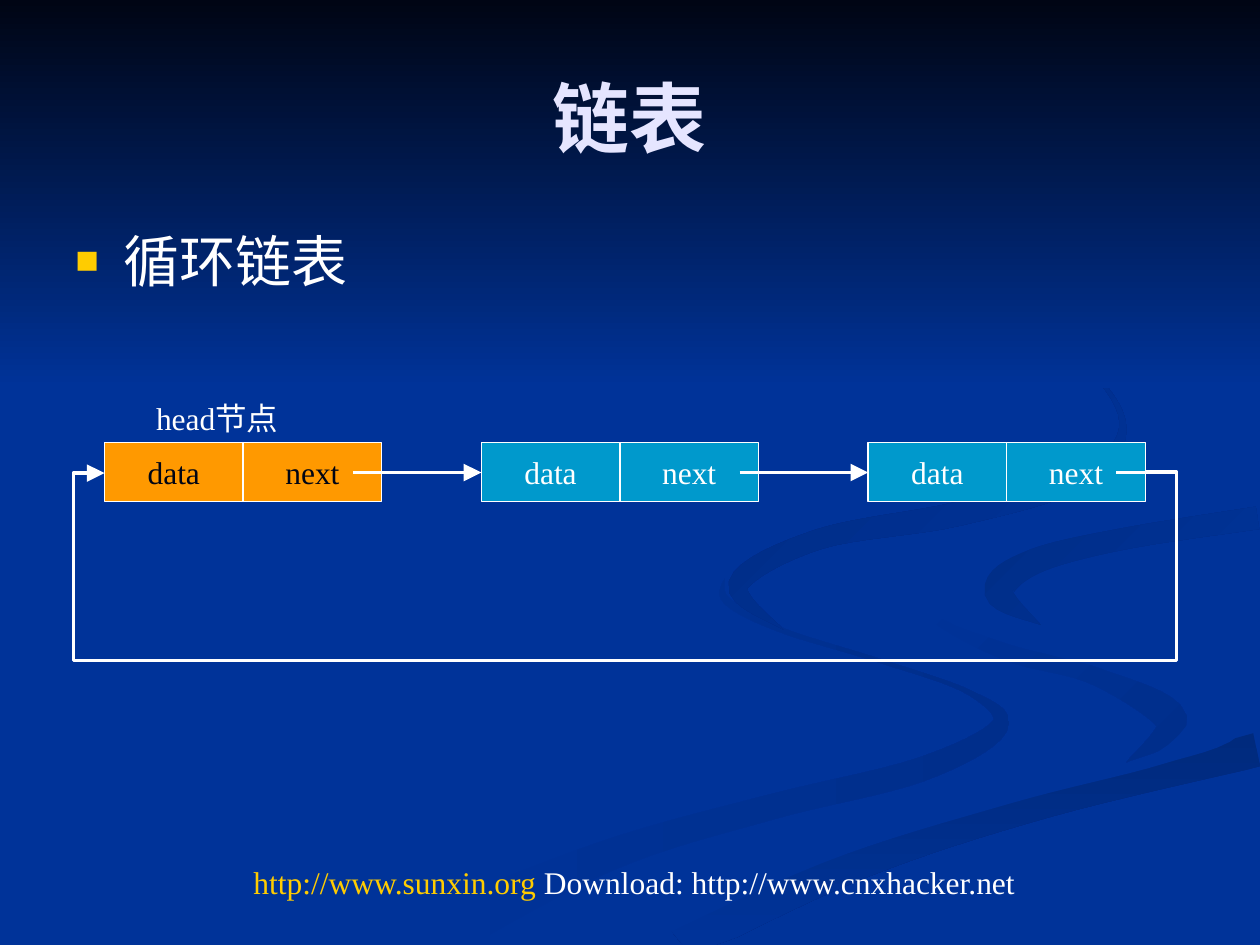
import math

import pptx
import pptx.dml.color
import pptx.enum.shapes
import pptx.enum.text
import pptx.oxml
import pptx.oxml.ns
import pptx.util
from pptx.util import Inches

WIDTH, HEIGHT = 10, 7.5
FONT = "Times New Roman"
BLUE, NIGHT, WHITE, YELLOW = "003399", "000514", "FFFFFF", "FFCC00"
ORANGE, CYAN, LAVENDER = "FF9900", "0099CC", "E5E5FF"

CELL_WIDTH, CELL_HEIGHT, CELL_TOP = 1.1, 0.47, 3.51
LINK_Y = 3.75
LINK_START = 0.13
NODES = [(0.83, ORANGE, NIGHT), (3.82, CYAN, WHITE), (6.89, CYAN, WHITE)]


def rgb(value):
    return pptx.dml.color.RGBColor.from_string(value)


def child(parent, tag, **attributes):
    node = parent.makeelement(pptx.oxml.ns.qn(tag), attributes)
    parent.append(node)
    return node


def write(paragraph, text, size=18, color=WHITE, bold=False, align="LEFT"):
    paragraph.alignment = getattr(pptx.enum.text.PP_ALIGN, align)
    run = paragraph.add_run()
    run.text = text
    run.font.name = FONT
    run.font.size = pptx.util.Pt(size)
    run.font.bold = bold
    run.font.color.rgb = rgb(color)


def spline(before, start, end, after, t):
    return tuple(
        b + t * (c - a + t * (2 * a - 5 * b + 4 * c - d + t * (3 * b - a - 3 * c + d))) / 2
        for a, b, c, d in zip(before, start, end, after))


def smooth(knots, steps=8):
    padded = [knots[0], *knots, knots[-1]]
    curve = [spline(*padded[i:i + 4], step / steps)
             for i in range(len(knots) - 1) for step in range(steps)]
    return curve + [knots[-1]]


def ribbon_edges(knots):
    curve = smooth(knots)
    left, right = [], []
    for i, (x, y, thickness) in enumerate(curve):
        back, ahead = curve[max(i - 1, 0)], curve[min(i + 1, len(curve) - 1)]
        angle = math.atan2(ahead[1] - back[1], ahead[0] - back[0])
        half = max(thickness, 0) / 2
        for edge, side in ((left, half), (right, -half)):
            edge.append((min(x - side * math.sin(angle), WIDTH),
                         min(y + side * math.cos(angle), HEIGHT)))
    return left + right[::-1]


class Deck:
    def __init__(self):
        self.show = pptx.Presentation()
        self.show.slide_width, self.show.slide_height = Inches(WIDTH), Inches(HEIGHT)
        self.slide = self.show.slides.add_slide(self.show.slide_layouts[6])
        self.shapes = self.slide.shapes
        background = self.slide.background.fill
        background.solid()
        background.fore_color.rgb = rgb(BLUE)

    def shade(self, area, start, end, angle):
        area.shadow.inherit = False
        area.line.fill.background()
        area.fill.gradient()
        area.fill.gradient_angle = -angle % 360
        for stop, color in zip(area.fill.gradient_stops, (start, end)):
            stop.color.rgb = rgb(color)

    def ribbon(self, knots, start=BLUE, end=BLUE, angle=0):
        corners = [(Inches(x), Inches(y)) for x, y in ribbon_edges(knots)]
        builder = self.shapes.build_freeform(*corners[0])
        builder.add_line_segments(corners[1:], close=True)
        self.shade(builder.convert_to_shape(), start, end, angle)

    def rectangle(self, left, top, width, height):
        return self.shapes.add_shape(pptx.enum.shapes.MSO_SHAPE.RECTANGLE,
                                     *map(Inches, (left, top, width, height)))

    def sky(self, height):
        self.shade(self.rectangle(0, 0, WIDTH, height), NIGHT, BLUE, 90)

    def text(self, left, top, width, height, parts, anchor="TOP", **style):
        frame = self.shapes.add_textbox(*map(Inches, (left, top, width, height))).text_frame
        frame.word_wrap = True
        frame.vertical_anchor = getattr(pptx.enum.text.MSO_ANCHOR, anchor)
        paragraph = frame.paragraphs[0]
        for words, color in parts:
            write(paragraph, words, color=color, **style)
        return paragraph

    def bullet(self, left, top, width, height, words, size):
        paragraph = self.text(left, top, width, height, [(words, WHITE)], size=size)
        properties = paragraph._p.get_or_add_pPr()
        properties.set("marL", str(Inches(0.38)))
        properties.set("indent", str(-Inches(0.38)))
        child(child(properties, "a:buClr"), "a:srgbClr", val=YELLOW)
        child(properties, "a:buSzPct", val="70000")
        child(properties, "a:buFont", typeface=FONT)
        child(properties, "a:buChar", char="■")

    def cell(self, left, words, fill, color):
        box = self.rectangle(left, CELL_TOP, CELL_WIDTH, CELL_HEIGHT)
        box.shadow.inherit = False
        box.fill.solid()
        box.fill.fore_color.rgb = rgb(fill)
        box.line.color.rgb = rgb(WHITE)
        box.line.width = pptx.util.Pt(0.75)
        box.text_frame.word_wrap = False
        box.text_frame.vertical_anchor = pptx.enum.text.MSO_ANCHOR.MIDDLE
        write(box.text_frame.paragraphs[0], words, color=color, align="CENTER")
        return box

    def node(self, left, fill, color):
        return [self.cell(left + column * CELL_WIDTH, field, fill, color)
                for column, field in enumerate(("data", "next"))]

    def link(self, start, end, arrow=True, kind="STRAIGHT"):
        line = self.shapes.add_connector(getattr(pptx.enum.shapes.MSO_CONNECTOR, kind),
                                         *map(Inches, (start, LINK_Y, end, LINK_Y)))
        line.line.color.rgb = rgb(WHITE)
        line.line.width = pptx.util.Pt(2)
        if arrow:
            child(line.line._get_or_add_ln(), "a:tailEnd", type="triangle", w="lg", len="lg")
        child(line._element.spPr, "a:effectLst")
        return line

    def loop(self, last, first, start, end, drop, overhang):
        line = self.link(start, end, kind="ELBOW")
        line.begin_connect(last, 3)
        line.end_connect(first, 1)
        line.height = Inches(0.01)
        geometry = line._element.spPr.find(pptx.oxml.ns.qn("a:prstGeom"))
        geometry.set("prst", "bentConnector5")
        guides = geometry.get_or_add_avLst()
        side = Inches(overhang) / line.width
        ratios = (-side, Inches(drop) / line.height, 1 + side)
        for number, ratio in enumerate(ratios, 1):
            child(guides, "a:gd", name=f"adj{number}", fmla=f"val {round(ratio * 100000)}")


def draw_backdrop(deck):
    lower_swirl = [(5.75, 4.59, 0), (5.77, 4.77, 0.06), (6.2, 5, 0.04), (7, 5.25, 0.03),
                   (7.7, 5.5, 0.04), (7.93, 5.77, 0.14), (7.3, 6.11, 0.19),
                   (6.1, 6.41, 0.2), (4.8, 6.8, 0.25), (3.3, 7.49, 0.45)]
    right_swirl = [(7.24, 4.64, 0), (7.4, 4.9, 0.05), (8, 5.18, 0.13),
                   (8.7, 5.37, 0.14), (9.3, 5.72, 0.25), (8.94, 6.05, 0)]
    corner_band = [(9.98, 5.95, 0.27), (8.3, 6.39, 0.2), (6.8, 6.87, 0.23), (5.35, 7.49, 0.35)]
    blue_ribbon = [(9.99, 3.95, 0.15), (8.6, 4.18, 0.14), (7.55, 4.6, 0.5), (8.3, 5.08, 0.2),
                   (9.1, 5.3, 0.2), (9.7, 5.6, 0.5), (9.2, 6.02, 0.1), (8, 6.33, 0.1),
                   (6.5, 6.79, 0.13), (4.9, 7.49, 0.2)]
    right_hook = [(9.98, 4.11, 0.18), (8.9, 4.28, 0.17), (8.2, 4.46, 0.2),
                  (7.93, 4.7, 0.23), (8.26, 4.96, 0)]
    upper_swirl = [(7.62, 2.33, 0), (8.5, 2.81, 0.02), (8.91, 3.35, 0.05), (8.6, 3.79, 0.15),
                   (7.6, 4.08, 0.19), (6.5, 4.28, 0.16), (5.86, 4.64, 0.16), (6.22, 5, 0)]
    deck.ribbon(lower_swirl, end="002E8B")
    deck.ribbon(right_swirl, end="002E8B", angle=45)
    deck.ribbon(corner_band, start="002A7D", angle=90)
    deck.ribbon(blue_ribbon)
    deck.ribbon(right_hook, start="002D86", angle=45)
    deck.ribbon(upper_swirl, start="002B82", angle=45)
    deck.sky(3.08)


def draw_circular_list(deck):
    cells = [cell for node in NODES for cell in deck.node(*node)]
    lefts = [left for left, _, _ in NODES]
    rights = [left + 2 * CELL_WIDTH for left in lefts]
    for _, following in zip(lefts, lefts[1:]):
        deck.link(following - 1.02, following)
    deck.text(1.14, 3.12, 1.34, 0.7, [("head节点", WHITE)])
    deck.loop(cells[-1], cells[0], rights[-1], lefts[0], drop=1.52, overhang=0.25)
    deck.link(rights[-1], rights[-1] - 2 * LINK_START + 0.03, arrow=False)


def main():
    deck = Deck()
    draw_backdrop(deck)
    deck.text(0.5, 0.3, 9, 1.25, [("链表", LAVENDER)], "MIDDLE",
              size=44, bold=True, align="CENTER")
    deck.bullet(0.5, 1.75, 9, 4.95, "循环链表", 32)
    draw_circular_list(deck)
    deck.text(1.77, 6.8, 6.53, 0.7, [("http://www.sunxin.org", YELLOW),
              (" Download: http://www.cnxhacker.net", WHITE)], align="CENTER")
    deck.show.save("out.pptx")


if __name__ == "__main__":
    main()
